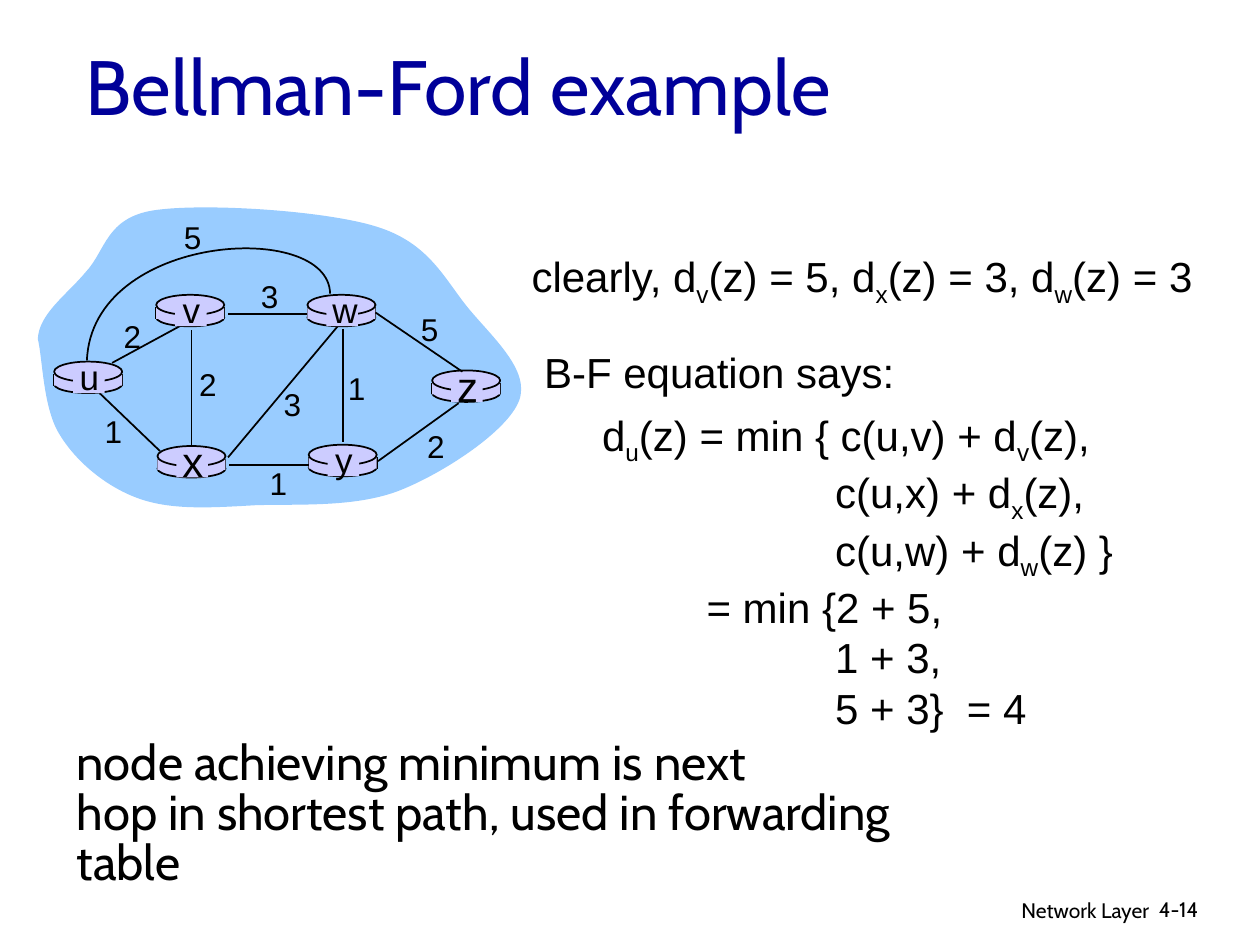
from lxml import etree
from pptx import Presentation
from pptx.dml.color import RGBColor
from pptx.enum.shapes import MSO_CONNECTOR as Connector, MSO_SHAPE as Shape
from pptx.enum.text import MSO_ANCHOR as Anchor, PP_ALIGN as Align
from pptx.oxml.ns import qn
from pptx.util import Inches, Pt

BLACK = RGBColor(0x00, 0x00, 0x00)
NAVY = RGBColor(0x00, 0x00, 0x99)
SKY = RGBColor(0x99, 0xCC, 0xFF)
LILAC = RGBColor(0xCC, 0xCC, 0xFF)

# Content: an underscore makes the next letter a subscript
TITLE = "Bellman-Ford example"
CLEARLY = "clearly, d_v(z) = 5, d_x(z) = 3, d_w(z) = 3"
SAYS = "B-F equation says:"
EQUATION = [  # text, indent in inches
    ("d_u(z) = min { c(u,v) + d_v(z),", 0),
    ("c(u,x) + d_x(z),", 1.85),
    ("c(u,w) + d_w(z) }", 1.85),
    ("= min {2 + 5,", 0.83),
    ("1 + 3,", 1.85),
    ("5 + 3}  = 4", 1.85),
]
CONCLUSION = ["node achieving minimum is next",
              "hop in shortest path, used in forwarding table"]

# Network: router name -> left, top, label size
ROUTER_WIDTH = 0.54
ROUTERS = {
    "u": (0.43, 2.87, 20), "x": (1.25, 3.54, 24), "v": (1.24, 2.34, 20),
    "w": (2.44, 2.34, 20), "y": (2.45, 3.53, 20), "z": (3.43, 2.94, 24),
}
UV_LINK = (0.89, 2.88, 1.48, 2.56)  # passes behind the routers
LINKS = [  # start x, start y, end x, end y
    (2.72, 2.61, 2.72, 3.51), (1.52, 2.62, 1.52, 3.55),
    (1.81, 3.63, 2.68, 2.59), (3.00, 3.66, 3.64, 3.20),
    (2.45, 3.69, 1.82, 3.69), (1.27, 3.58, 0.79, 3.12),
    (2.44, 2.49, 1.81, 2.49), (3.67, 2.95, 2.98, 2.48),
]
COSTS = [  # cost, centre x, centre y
    ("2", 1.05, 2.67), ("2", 1.65, 3.05), ("1", 0.90, 3.42), ("3", 2.32, 3.21),
    ("1", 2.21, 3.83), ("1", 2.83, 3.08), ("2", 3.46, 3.54), ("5", 3.41, 2.61),
    ("3", 2.14, 2.35), ("5", 1.53, 1.88),
]

# Curves: a start point, then Bezier segments of two controls and an end
CLOUD = [
    (0.3, 2.69),
    (0.31, 2.49), (0.53, 2.34), (0.68, 2.16),
    (0.84, 1.99), (0.84, 1.73), (1.22, 1.67),
    (1.61, 1.61), (2.58, 1.67), (2.99, 1.8),
    (3.41, 1.93), (3.53, 2.22), (3.72, 2.45),
    (3.91, 2.68), (4.21, 2.94), (4.12, 3.18),
    (4.03, 3.42), (3.53, 3.75), (3.18, 3.89),
    (2.83, 4.03), (2.37, 4), (2.03, 4.01),
    (1.68, 4.03), (1.37, 4.05), (1.11, 3.96),
    (0.85, 3.87), (0.61, 3.67), (0.48, 3.46),
    (0.34, 3.25), (0.34, 2.85), (0.3, 2.69),
]
UW_ARC = [(2.62, 2.33), (2.61, 1.74), (0.73, 1.85), (0.69, 2.86)]

presentation = Presentation()
presentation.slide_width, presentation.slide_height = Inches(10), Inches(7.5)
slide = presentation.slides.add_slide(presentation.slide_layouts[5])
shapes = slide.shapes
network = shapes.add_group_shape().shapes


def write(paragraph, text, size=24, font="Arial", color=BLACK,
          align=Align.LEFT, spacing=None, indent=0):
    paragraph.alignment = align
    paragraph.line_spacing = spacing
    if indent:
        paragraph._p.get_or_add_pPr().set("marL", str(Inches(indent)))
    first, *rest = text.split("_")
    pieces = [(first, False)]
    for part in rest:
        pieces += [(part[0], True), (part[1:], False)]
    for piece, is_subscript in pieces:
        run = paragraph.add_run()
        run.text = piece
        run.font.size, run.font.name = Pt(size), font
        run.font.color.rgb = color
        if is_subscript:
            run._r.get_or_add_rPr().set("baseline", "-25000")


def add_text(lines, left, top, width, height, parent=shapes, **style):
    frame = parent.add_textbox(*map(Inches, (left, top, width, height))).text_frame
    frame.word_wrap = True
    for index, line in enumerate(lines):
        text, indent = line if isinstance(line, tuple) else (line, 0)
        paragraph = frame.add_paragraph() if index else frame.paragraphs[0]
        write(paragraph, text, indent=indent, **style)


def add_label(text, center_x, center_y, size):
    width, height = 0.36, 0.1 + size / 60
    add_text([text], center_x - width / 2, center_y - height / 2,
             width, height, parent=network, size=size, align=Align.CENTER)


def paint(shape, fill=None, outlined=False):
    shape.shadow.inherit = False
    if fill is None:
        shape.fill.background()
    else:
        shape.fill.solid()
        shape.fill.fore_color.rgb = fill
    if outlined:
        shape.line.color.rgb, shape.line.width = BLACK, Pt(1)
    else:
        shape.line.fill.background()


def add_block(kind, left, top, width, height, outlined=False):
    block = network.add_shape(kind, *map(Inches, (left, top, width, height)))
    paint(block, LILAC, outlined)


def add_line(*ends):
    line = network.add_connector(Connector.STRAIGHT, *map(Inches, ends))
    line.line.color.rgb, line.line.width = BLACK, Pt(1)
    etree.SubElement(line._element.spPr, qn("a:effectLst"))


def add_curve(points, closed, **paint_style):
    start, *others = [(Inches(x), Inches(y)) for x, y in points]
    builder = network.build_freeform(*start)
    builder.add_line_segments(others, close=closed)
    curve = builder.convert_to_shape()
    # Join every three straight segments into one Bezier segment
    segments = list(curve._element.iter(qn("a:lnTo")))
    for first in range(0, len(others), 3):
        bezier = etree.Element(qn("a:cubicBezTo"))
        segments[first].addprevious(bezier)
        for segment in segments[first:first + 3]:
            bezier.append(segment[0])
            segment.getparent().remove(segment)
    paint(curve, **paint_style)


def add_router(left, top):
    right = left + ROUTER_WIDTH
    add_block(Shape.OVAL, left, top + 0.11, ROUTER_WIDTH, 0.14, outlined=True)
    for side in (left, right):
        add_line(side, top + 0.1, side, top + 0.19)
    add_block(Shape.RECTANGLE, left, top + 0.1, ROUTER_WIDTH, 0.09)
    add_block(Shape.OVAL, left, top, ROUTER_WIDTH, 0.16, outlined=True)


# Title
title = shapes.title
title.left, title.top, title.width, title.height = map(Inches, (0.58, 0.19, 8.5, 0.96))
title.text_frame.vertical_anchor = Anchor.MIDDLE
write(title.text_frame.paragraphs[0], TITLE, size=44, font="Cabin", color=NAVY)

# Network graph
add_curve(CLOUD, closed=True, fill=SKY)
add_line(*UV_LINK)
for left, top, _ in ROUTERS.values():
    add_router(left, top)
for link in LINKS:
    add_line(*link)
add_curve(UW_ARC, closed=False, outlined=True)
for name, (left, top, size) in ROUTERS.items():
    add_block(Shape.RECTANGLE, left + 0.15, top + 0.02, 0.25, 0.23)
    add_label(name, left + 0.28, top + 0.12, size)
for cost, center_x, center_y in COSTS:
    add_label(cost, center_x, center_y, 18)

# Equations and conclusion
add_text([CLEARLY], 4.12, 1.94, 5.52, 0.5)
add_text([SAYS], 4.22, 2.7, 2.98, 0.5)
add_text(EQUATION, 4.68, 3.2, 4.27, 2.5)
add_text(CONCLUSION, 0.51, 5.83, 7.4, 0.9, size=28, font="Cabin", spacing=0.85)

# Footer
add_text(["Network Layer"], 6.05, 7.07, 3.17, 0.31, size=12, font="Cabin", align=Align.RIGHT)
add_text(["4-14"], 9.1, 7.07, 0.74, 0.3, size=12, font="Cabin")

presentation.save("out.pptx")
